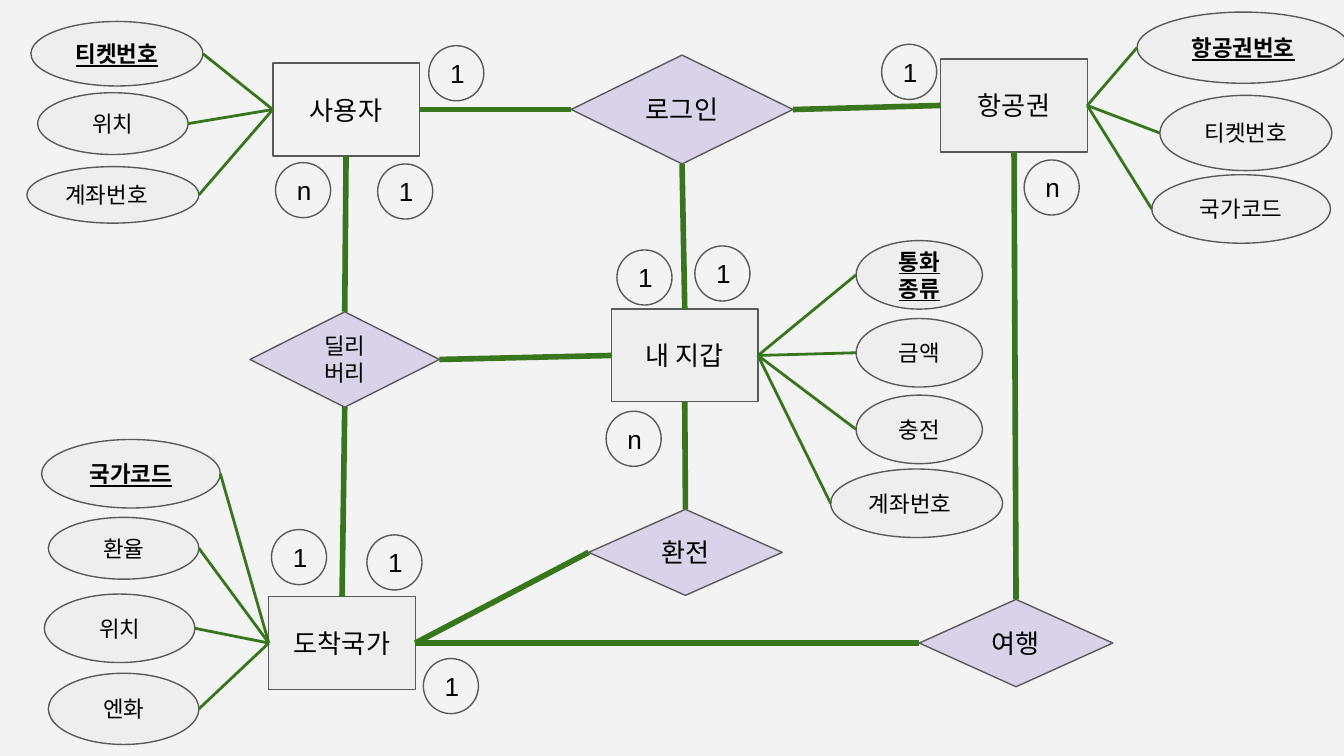
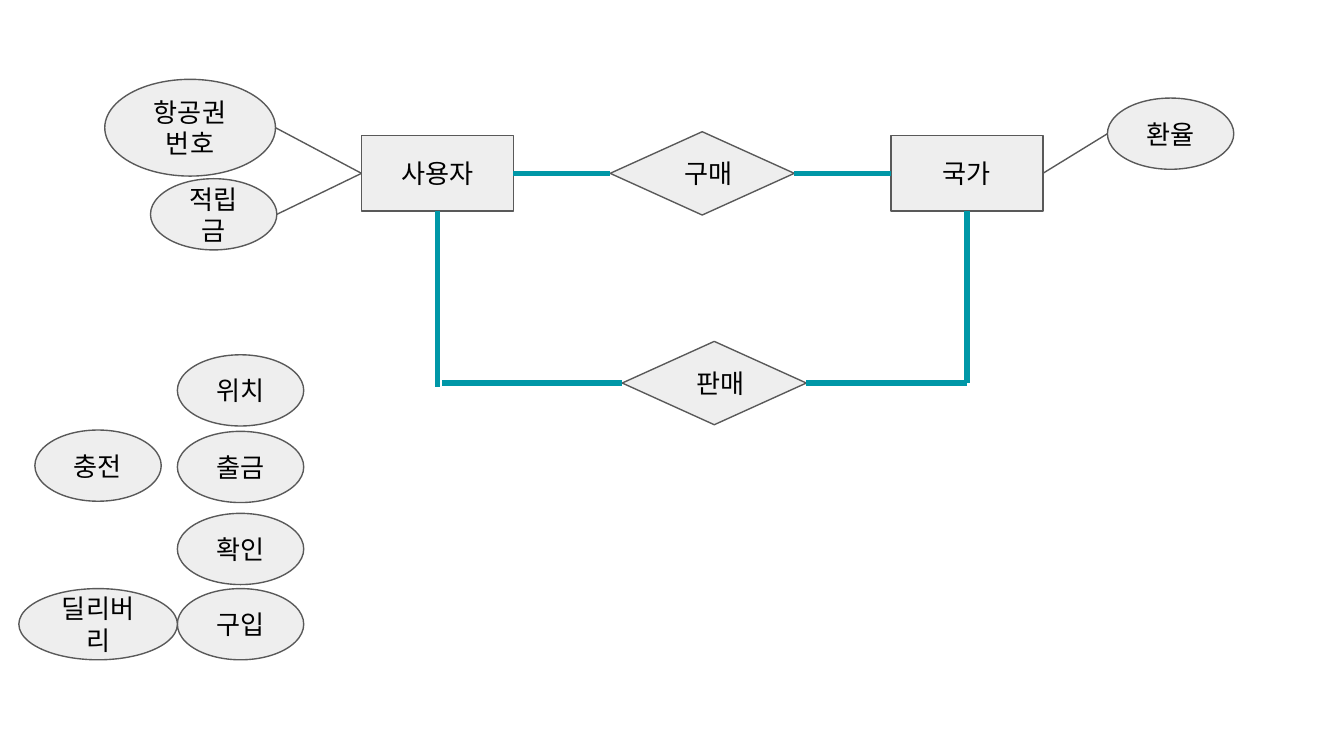
from dataclasses import dataclass
from typing import NamedTuple

from lxml.etree import SubElement
from pptx import Presentation
from pptx.dml.color import RGBColor
from pptx.enum.shapes import MSO_CONNECTOR, MSO_SHAPE
from pptx.enum.text import MSO_ANCHOR, PP_ALIGN
from pptx.oxml.ns import qn
from pptx.slide import Slide
from pptx.text.text import TextFrame
from pptx.util import Inches, Pt

FONT = "Arial"
BLACK, WHITE, EDGE = "000000", "FFFFFF", "595959"
PALE, GREY, LILAC = "F3F3F3", "EEEEEE", "D9D2E9"
GREEN, TEAL = "38761D", "0097A7"
THICK, THIN, HAIR = 3, 1.5, 0.75
OVAL, BOX, GEM = MSO_SHAPE.OVAL, MSO_SHAPE.RECTANGLE, MSO_SHAPE.FLOWCHART_DECISION
FACING = {"left": "right", "right": "left"}


class Point(NamedTuple):
    """A place on the slide in inches."""

    x: float
    y: float


@dataclass(frozen=True)
class Node:
    """A labelled shape of the diagram."""

    text: str
    x: float
    y: float
    w: float
    h: float
    form: MSO_SHAPE = OVAL
    fill: str = GREY
    size: int = 14
    key: bool = False
    align: PP_ALIGN = PP_ALIGN.CENTER
    pad: float = 0.1

    def at(self, side: str) -> Point:
        """Return the middle of one side."""
        mid = Point(self.x + self.w / 2, self.y + self.h / 2)
        return {
            "left": Point(self.x, mid.y),
            "right": Point(self.x + self.w, mid.y),
            "top": Point(mid.x, self.y),
            "base": Point(mid.x, self.y + self.h),
        }[side]


class Fan(NamedTuple):
    """Fields joined to one side of a box."""

    hub: Node
    side: str
    leaves: list[Node]


def tint(code: str) -> RGBColor:
    """Turn a hex string into a colour."""
    return RGBColor.from_string(code)


def write(frame: TextFrame, text: str, *, size: int, key: bool = False,
          align: PP_ALIGN = PP_ALIGN.CENTER, pad: float = 0.1) -> None:
    """Set the text of a frame and its format."""
    frame.word_wrap = True
    frame.vertical_anchor = MSO_ANCHOR.MIDDLE
    frame.margin_left = Inches(pad)
    frame.margin_right = frame.margin_top = frame.margin_bottom = Inches(0.1)
    line = frame.paragraphs[0]
    line.text = text
    line.alignment = align
    for run in line.runs:
        font = run.font
        font.name, font.size = FONT, Pt(size)
        font.color.rgb = tint(BLACK)
        if key:
            font.bold = font.underline = True
    for gap in line._p.findall(qn("a:br")):
        SubElement(gap, qn("a:rPr"), sz=str(size * 100))


def draw(slide: Slide, node: Node) -> None:
    """Draw one node."""
    shape = slide.shapes.add_shape(
        node.form, Inches(node.x), Inches(node.y), Inches(node.w), Inches(node.h))
    shape.shadow.inherit = False
    shape.fill.solid()
    shape.fill.fore_color.rgb = tint(node.fill)
    shape.line.color.rgb = tint(EDGE)
    shape.line.width = Pt(HAIR)
    write(shape.text_frame, node.text, size=node.size, key=node.key,
          align=node.align, pad=node.pad)


def link(slide: Slide, start: Point, end: Point, color: str, width: float) -> None:
    """Draw a straight line between two points."""
    wire = slide.shapes.add_connector(
        MSO_CONNECTOR.STRAIGHT, Inches(start.x), Inches(start.y),
        Inches(end.x), Inches(end.y))
    wire.line.color.rgb = tint(color)
    wire.line.width = Pt(width)
    SubElement(wire._element.spPr, qn("a:effectLst"))


def spread(slide: Slide, fans: list[Fan], color: str, width: float) -> None:
    """Draw the fields of each fan and their lines."""
    for fan in fans:
        for leaf in fan.leaves:
            draw(slide, leaf)
            link(slide, fan.hub.at(fan.side), leaf.at(FACING[fan.side]), color, width)


def start(deck: Presentation, back: str) -> Slide:
    """Add a blank slide with a plain ground."""
    slide = deck.slides.add_slide(deck.slide_layouts[6])
    slide.background.fill.solid()
    slide.background.fill.fore_color.rgb = tint(back)
    return slide


def box(text: str, x: float, y: float, fill: str = GREY) -> Node:
    """Make a box of the wallet chart."""
    return Node(text, x, y, 1.09, 0.69, BOX, fill)


def field(text: str, x: float, y: float, w: float, h: float, key: bool = False,
          align: PP_ALIGN = PP_ALIGN.CENTER) -> Node:
    """Make a field of the wallet chart."""
    return Node(text, x, y, w, h, size=12, key=key, align=align)


def wallet(deck: Presentation) -> None:
    """Build the chart of the travel wallet."""
    slide = start(deck, PALE)
    user = box("사용자", 2.03, 0.47, PALE)
    ticket = box("항공권", 7, 0.44)
    country = box("도착국가", 2, 4.44)
    purse = box("내 지갑", 4.55, 2.3)
    login = Node("로그인", 4.25, 0.41, 1.65, 0.81, GEM, LILAC)
    swap = Node("환전", 4.38, 3.79, 1.44, 0.64, GEM, LILAC)
    send = Node("딜리\n버리", 1.86, 2.32, 1.41, 0.71, GEM, LILAC, 12)
    travel = Node("여행", 6.84, 4.46, 1.44, 0.65, GEM, LILAC)
    for node in (user, ticket, country, purse, login, swap, send, travel):
        draw(slide, node)

    for head, side, tail, end in (
        (user, "right", login, "left"),
        (login, "right", ticket, "left"),
        (purse, "base", swap, "top"),
        (swap, "left", country, "right"),
        (purse, "top", login, "base"),
        (user, "base", send, "top"),
        (send, "base", country, "top"),
        (purse, "left", send, "right"),
        (country, "right", travel, "left"),
        (ticket, "base", travel, "top"),
    ):
        link(slide, head.at(side), tail.at(end), GREEN, THICK)

    spread(slide, [
        Fan(user, "left", [
            field("티켓번호", 0.23, 0.16, 1.28, 0.48, key=True),
            field("위치", 0.28, 0.69, 1.12, 0.46),
            field("계좌번호", 0.2, 1.24, 1.28, 0.42, align=PP_ALIGN.LEFT),
        ]),
        Fan(ticket, "right", [
            field("항공권번호", 8.46, 0.09, 1.58, 0.53, key=True),
            field("티켓번호", 8.63, 0.71, 1.28, 0.56),
            field("국가코드", 8.57, 1.3, 1.33, 0.51),
        ]),
        Fan(purse, "right", [
            field("통화\n종류", 6.37, 1.79, 0.94, 0.51, key=True),
            field("금액", 6.37, 2.37, 0.94, 0.51),
            field("충전", 6.37, 2.94, 0.94, 0.51),
            field("계좌번호", 6.18, 3.49, 1.28, 0.51, align=PP_ALIGN.LEFT),
        ]),
        Fan(country, "left", [
            field("국가코드", 0.31, 3.27, 1.33, 0.51, key=True),
            field("환율", 0.36, 3.85, 1.12, 0.46),
            field("위치", 0.33, 4.42, 1.12, 0.51),
            field("엔화", 0.36, 5.01, 1.12, 0.53),
        ]),
    ], GREEN, THIN)

    for text, x, y in (
        ("1", 2.81, 1.22), ("1", 3.19, 0.34), ("1", 6.56, 0.33), ("n", 7.62, 1.19),
        ("1", 3.15, 4.9), ("1", 2.73, 3.98), ("n", 4.51, 3.06), ("1", 4.59, 1.86),
        ("1", 5.17, 1.83), ("n", 2.05, 1.21), ("1", 2.02, 3.94),
    ):
        draw(slide, Node(text, x, y, 0.41, 0.41, fill=PALE))


def trade(deck: Presentation) -> None:
    """Build the chart of buying and selling."""
    slide = start(deck, WHITE)
    user = Node("사용자", 2.69, 1.01, 1.13, 0.56, BOX)
    country = Node("국가", 6.63, 1.01, 1.13, 0.56, BOX)
    buy, sell = (
        Node(text, x, y, 1.37, 0.62, GEM, align=PP_ALIGN.LEFT, pad=0.21)
        for text, x, y in (("구매", 4.54, 0.98), ("판매", 4.63, 2.54)))
    for node in (user, country, buy, sell):
        draw(slide, node)

    for text, x, y in (
        ("충전", 0.26, 3.2), ("위치", 1.32, 2.64), ("출금", 1.32, 3.21),
        ("확인", 1.32, 3.82), ("구입", 1.32, 4.38),
    ):
        draw(slide, Node(text, x, y, 0.94, 0.53))
    draw(slide, Node("딜리버리", 0.14, 4.38, 1.18, 0.53))

    spread(slide, [
        Fan(user, "left", [
            Node("항공권번호", 0.78, 0.59, 1.27, 0.72),
            Node("적립금", 1.12, 1.33, 0.94, 0.53),
        ]),
        Fan(country, "right", [Node("환율", 8.24, 0.73, 0.94, 0.53)]),
    ], EDGE, HAIR)

    near, far = user.at("base"), country.at("base")
    row = sell.at("left").y
    for head, tail in (
        (user.at("right"), buy.at("left")),
        (buy.at("right"), country.at("left")),
        (near, Point(near.x, 2.88)),
        (Point(3.29, row), sell.at("left")),
        (sell.at("right"), Point(far.x, row)),
        (Point(far.x, row), far),
    ):
        link(slide, head, tail, TEAL, THICK)


def main() -> None:
    """Build and save the deck."""
    deck = Presentation()
    deck.slide_width = Inches(10)
    deck.slide_height = Inches(10 * 9 / 16)
    wallet(deck)
    trade(deck)
    deck.save("out.pptx")


if __name__ == "__main__":
    main()
